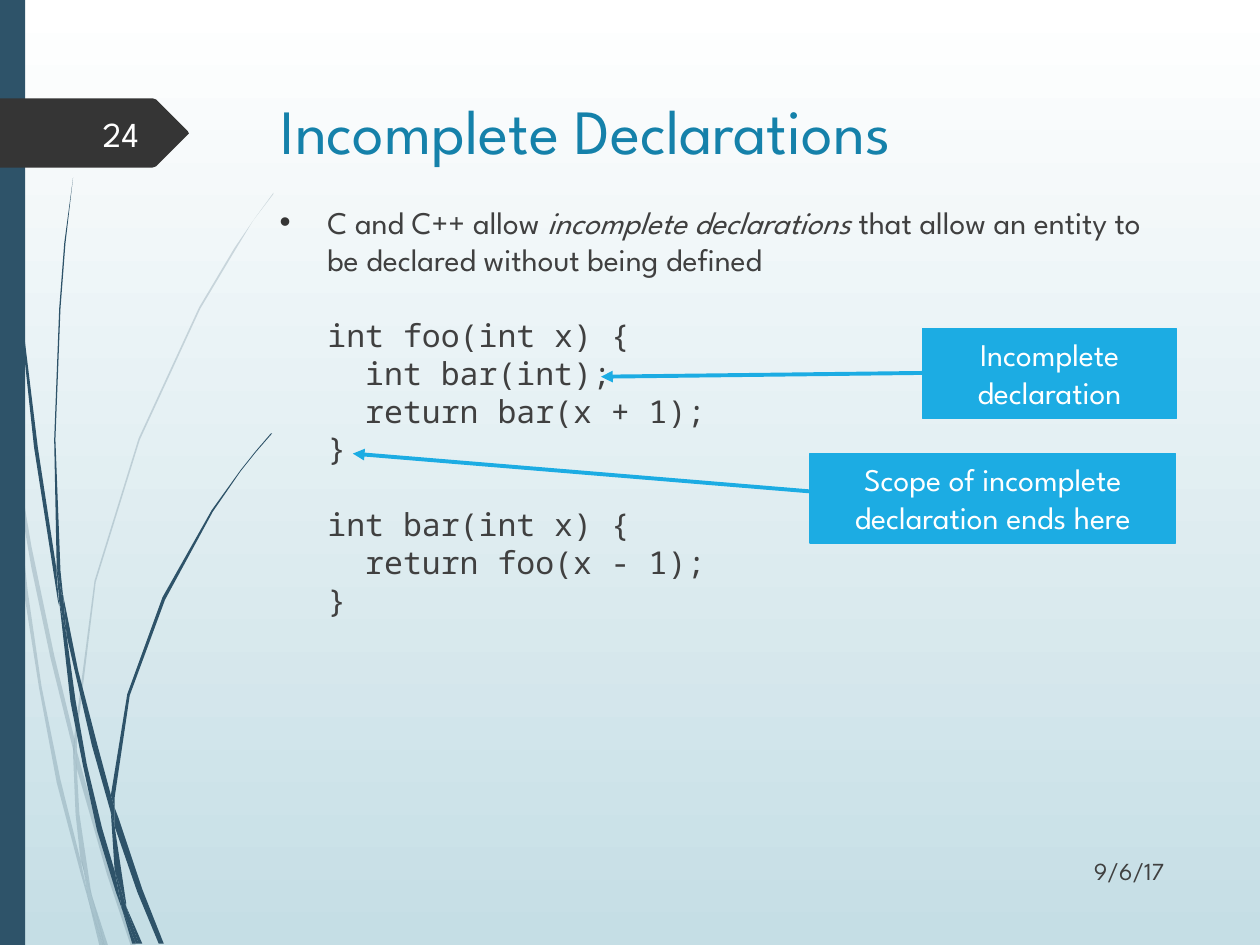
import pptx
import pptx.dml.color
import pptx.enum.dml
import pptx.enum.shapes
import pptx.enum.text
import pptx.oxml
import pptx.oxml.ns
import pptx.util
from lxml import etree

Inches, Pt = pptx.util.Inches, pptx.util.Pt
RGBColor = pptx.dml.color.RGBColor
ALIGN, ANCHOR = pptx.enum.text.PP_ALIGN, pptx.enum.text.MSO_ANCHOR
SHAPE, LINK = pptx.enum.shapes.MSO_SHAPE, pptx.enum.shapes.MSO_CONNECTOR
qn = pptx.oxml.ns.qn

WHITE = RGBColor(0xFF, 0xFF, 0xFF)
MIST = RGBColor(0xC5, 0xDE, 0xE5)
NAVY = RGBColor(0x2E, 0x53, 0x69)
TAG = RGBColor(0x35, 0x35, 0x35)
TITLE = RGBColor(0x15, 0x81, 0xAA)
TEXT = RGBColor(0x40, 0x40, 0x40)
SKY = RGBColor(0x1C, 0xAC, 0xE3)
SANS, MONO = "League Spartan", "Noto Sans Mono"

# Content
INTRO = [("C and C++ allow ", False), ("incomplete declarations", True),
         (" that allow an entity to be declared without being defined", False)]
CODE = """int foo(int x) {
  int bar(int);
  return bar(x + 1);
}

int bar(int x) {
  return foo(x - 1);
}"""
# Callouts: text, box (left, top, width, height), arrow start, arrow end
CALLOUTS = [
    ("Scope of incomplete declaration ends here", (6.43, 3.6, 2.9, 0.71), (6.43, 3.9), (2.8, 3.6)),
    ("Incomplete declaration", (7.32, 2.61, 2.02, 0.71), (7.32, 2.96), (4.77, 2.99)),
]

# Grass blades, as outline points in inches
PALE_BLADES = [
    [(0.08, 3.5), (0.06, 3.22), (0, 2.82), (0, 2.99), (0.07, 3.44)],
    [(0.4, 5.22), (0.59, 5.99), (0.59, 5.86), (0.43, 5.2), (0.25, 4.34), (0.1, 3.45),
     (0.12, 3.76), (0.25, 4.51)],
    [(0.64, 6.07), (0.61, 5.96), (0.61, 6.1), (0.85, 6.94), (1.04, 7.51), (1.08, 7.51),
     (0.88, 6.92)],
    [(0.83, 7.51), (0.86, 7.51), (0.73, 7.11)],
    [(0.64, 6.83), (0.48, 6.19), (0.33, 5.45), (0.22, 4.69), (0.12, 3.76), (0.08, 3.5),
     (0.19, 4.7), (0.31, 5.46), (0.45, 6.21), (0.64, 6.93), (0.7, 7.14), (0.69, 7.07)],
    [(0.58, 5.99), (0.6, 6.46), (0.64, 6.83), (0.67, 6.92), (0.73, 7.11), (0.72, 7.06),
     (0.63, 6.46), (0.61, 6.1), (0.61, 6.08)],
    [(0.61, 5.84), (0.76, 4.62), (1.11, 3.49), (1.59, 2.45), (1.87, 1.98), (2.01, 1.75),
     (2.17, 1.54), (2.17, 1.53), (2.01, 1.75), (1.86, 1.97), (1.58, 2.44), (1.1, 3.48),
     (0.75, 4.61), (0.59, 5.84), (0.59, 5.86), (0.61, 5.96)],
    [(0.7, 7.14), (0.79, 7.51), (0.82, 7.51)],
    [(0.61, 6.08), (0.61, 6.1), (0.61, 5.96), (0.59, 5.86), (0.58, 5.99)],
    [(0.67, 6.92), (0.65, 6.83), (0.69, 7.07), (0.7, 7.14), (0.82, 7.51), (0.83, 7.51),
     (0.73, 7.11)],
]
DARK_BLADES = [
    [(0.05, 1.1), (0.14, 2.33), (0.27, 3.55), (0.46, 4.77), (0.47, 4.81), (0.45, 4.57),
     (0.45, 4.53), (0.3, 3.55), (0.15, 2.32), (0.06, 1.09), (0.04, 0.48), (0.03, 0),
     (0.02, 0), (0.03, 0.48)],
    [(0.73, 5.92), (0.88, 6.45), (0.88, 6.33), (0.88, 6.31), (0.77, 5.9), (0.62, 5.32),
     (0.5, 4.72), (0.53, 5.05)],
    [(0.94, 6.49), (0.91, 6.41), (0.91, 6.56), (1.09, 7.08), (1.26, 7.49), (1.3, 7.49),
     (1.13, 7.06)],
    [(0.91, 6.91), (0.81, 6.57), (0.69, 6.07), (0.6, 5.56), (0.53, 5.05), (0.47, 4.77),
     (0.56, 5.57), (0.66, 6.08), (0.77, 6.59), (0.92, 7.08), (0.97, 7.22), (0.96, 7.17)],
    [(0.5, 4.72), (0.48, 4.53), (0.44, 3.49), (0.48, 2.45), (0.52, 1.93), (0.58, 1.41),
     (0.51, 1.93), (0.47, 2.45), (0.43, 3.49), (0.45, 4.49), (0.49, 4.72)],
    [(1.1, 7.49), (1.13, 7.49), (1, 7.19)],
    [(0.47, 4.77), (0.53, 5.05), (0.5, 4.72), (0.49, 4.72), (0.45, 4.49), (0.45, 4.53)],
    [(0.91, 6.33), (1.03, 5.52), (1.31, 4.76), (1.69, 4.06), (1.91, 3.74), (2.03, 3.59),
     (2.16, 3.44), (2.15, 3.44), (2.03, 3.58), (1.91, 3.73), (1.68, 4.05), (1.29, 4.74),
     (1.01, 5.51), (0.88, 6.31), (0.91, 6.41)],
    [(0.97, 7.22), (1.05, 7.49), (1.08, 7.49)],
    [(0.88, 6.45), (0.91, 6.91), (0.96, 7.06), (1, 7.19), (1, 7.16), (0.91, 6.56),
     (0.9, 6.51)],
    [(0.88, 6.45), (0.9, 6.51), (0.91, 6.56), (0.91, 6.41), (0.88, 6.31), (0.88, 6.33)],
    [(0.96, 7.06), (0.91, 6.91), (0.96, 7.17), (0.97, 7.22), (1.08, 7.49), (1.1, 7.49),
     (1, 7.19)],
]
PAGE_TAG = [(1.49, 1.07), (1.24, 1.32), (1.21, 1.33), (0, 1.33), (0, 0.78), (1.21, 0.78),
            (1.24, 0.79), (1.49, 1.04), (1.5, 1.06)]

prs = pptx.Presentation()
prs.slide_width, prs.slide_height = Inches(10), Inches(7.5)
s = prs.slides.add_slide(prs.slide_layouts[6])


def paint(sp, color, alpha=None):
    sp.shadow.inherit = False
    sp.fill.solid()
    sp.fill.fore_color.rgb = color
    sp.line.fill.background()
    if alpha is not None:
        clr = sp._element.spPr.find(".//" + qn("a:srgbClr"))
        etree.SubElement(clr, qn("a:alpha")).set("val", str(alpha * 1000))


def add_outline(points, color, alpha=None):
    pts = [(Inches(x), Inches(y)) for x, y in points]
    fb = s.shapes.build_freeform(*pts[0], scale=1.0)
    fb.add_line_segments(pts[1:], close=True)
    paint(fb.convert_to_shape(), color, alpha)


def add_run(p, text, size, color, font=SANS, italic=None):
    r = p.add_run()
    r.text = text
    r.font.size, r.font.name, r.font.italic = Pt(size), font, italic
    r.font.color.rgb = color


def add_box(box, anchor=ANCHOR.TOP):
    tf = s.shapes.add_textbox(*map(Inches, box)).text_frame
    tf.word_wrap = True
    tf.vertical_anchor = anchor
    return tf


def add_label(box, text, size, color, align=ALIGN.LEFT, anchor=ANCHOR.TOP):
    p = add_box(box, anchor).paragraphs[0]
    p.alignment = align
    add_run(p, text, size, color)


def set_indent(p, left, first):
    pPr = p._p.get_or_add_pPr()
    pPr.set("marL", str(Inches(left)))
    pPr.set("indent", str(Inches(first)))
    return pPr


# Background and side decoration
fill = s.background.fill
fill.gradient()
fill.gradient_angle = 270
for stop, color in zip(fill.gradient_stops, (WHITE, MIST)):
    stop.color.rgb = color
for blade in PALE_BLADES:
    add_outline(blade, NAVY, 20)
for blade in DARK_BLADES:
    add_outline(blade, NAVY)
paint(s.shapes.add_shape(SHAPE.RECTANGLE, 0, 0, Inches(0.2), prs.slide_height), NAVY)
add_outline(PAGE_TAG, TAG)

# Title, date and page number
add_label((2.13, 0.68, 7.21, 0.75), "Incomplete Declarations", 36, TITLE)
add_label((8.01, 6.71, 1.33, 0.4), "9/6/17", 14, TEXT, ALIGN.RIGHT, ANCHOR.MIDDLE)
add_label((0.56, 0.86, 0.64, 0.4), "24", 20, WHITE, ALIGN.RIGHT, ANCHOR.MIDDLE)

# Body: bulleted sentence, then the code
tf = add_box((2.12, 1.56, 7.21, 5))
p = tf.paragraphs[0]
pPr = set_indent(p, 0.38, -0.38)
bu_clr = etree.SubElement(pPr, qn("a:buClr"))
etree.SubElement(bu_clr, qn("a:srgbClr")).set("val", str(TAG))
etree.SubElement(pPr, qn("a:buFont")).set("typeface", "Arial")
etree.SubElement(pPr, qn("a:buChar")).set("char", "•")
for text, italic in INTRO:
    add_run(p, text, 18, TEXT, italic=italic)
p = tf.add_paragraph()
set_indent(p, 0.38, 0)
p.space_before = Pt(21.6)
for i, line in enumerate(CODE.split("\n")):
    if i:
        p.add_line_break()
    if line:
        add_run(p, line, 18, TEXT, MONO)

# Callouts with their arrows
for text, box, start, end in CALLOUTS:
    sp = s.shapes.add_shape(SHAPE.RECTANGLE, *map(Inches, box))
    paint(sp, SKY)
    sp.line.color.rgb, sp.line.width = SKY, Pt(0.75)
    tf = sp.text_frame
    tf.word_wrap = True
    tf.vertical_anchor = ANCHOR.TOP
    tf.auto_size = pptx.enum.text.MSO_AUTO_SIZE.SHAPE_TO_FIT_TEXT
    tf.paragraphs[0].alignment = ALIGN.CENTER
    add_run(tf.paragraphs[0], text, 18, WHITE)
    arrow = s.shapes.add_connector(LINK.STRAIGHT, *map(Inches, start + end))
    arrow.line.color.rgb, arrow.line.width = SKY, Pt(2.25)
    etree.SubElement(arrow.line._get_or_add_ln(), qn("a:tailEnd")).set("type", "triangle")
    etree.SubElement(arrow._element.spPr, qn("a:effectLst"))

prs.save("out.pptx")
